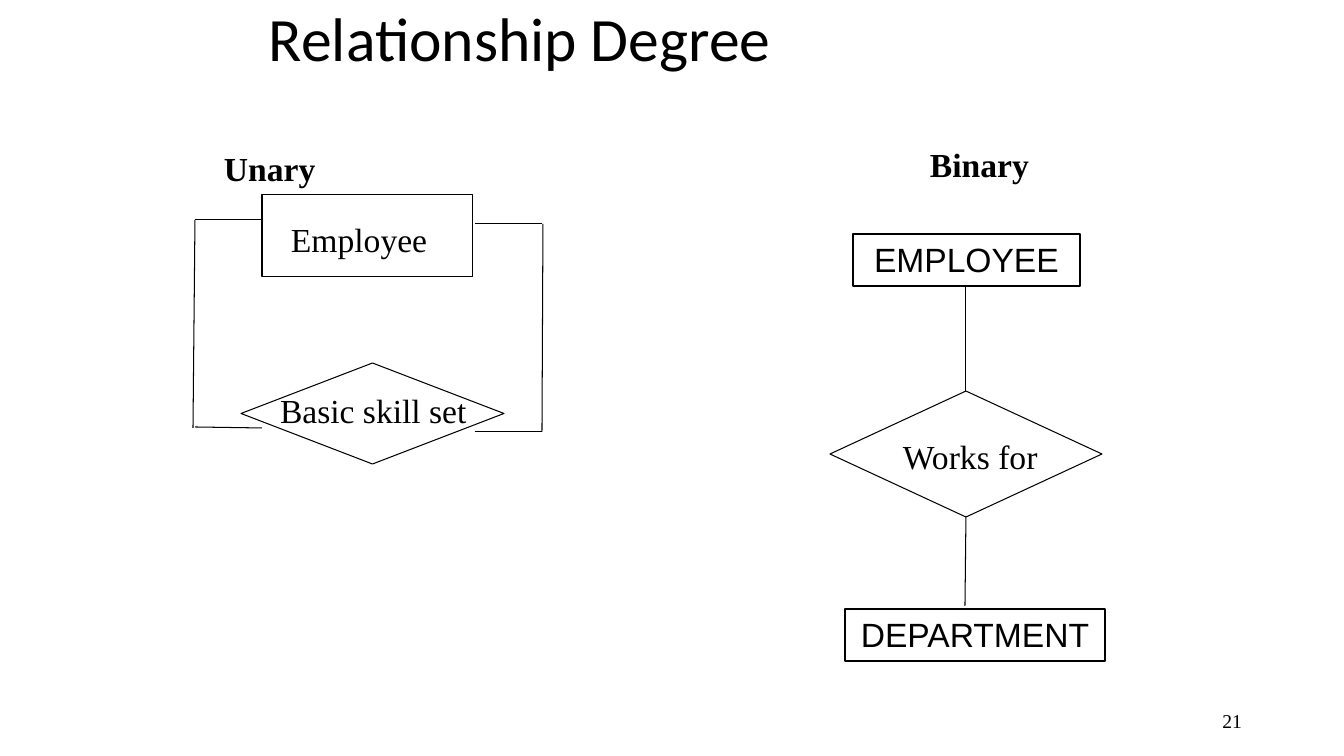
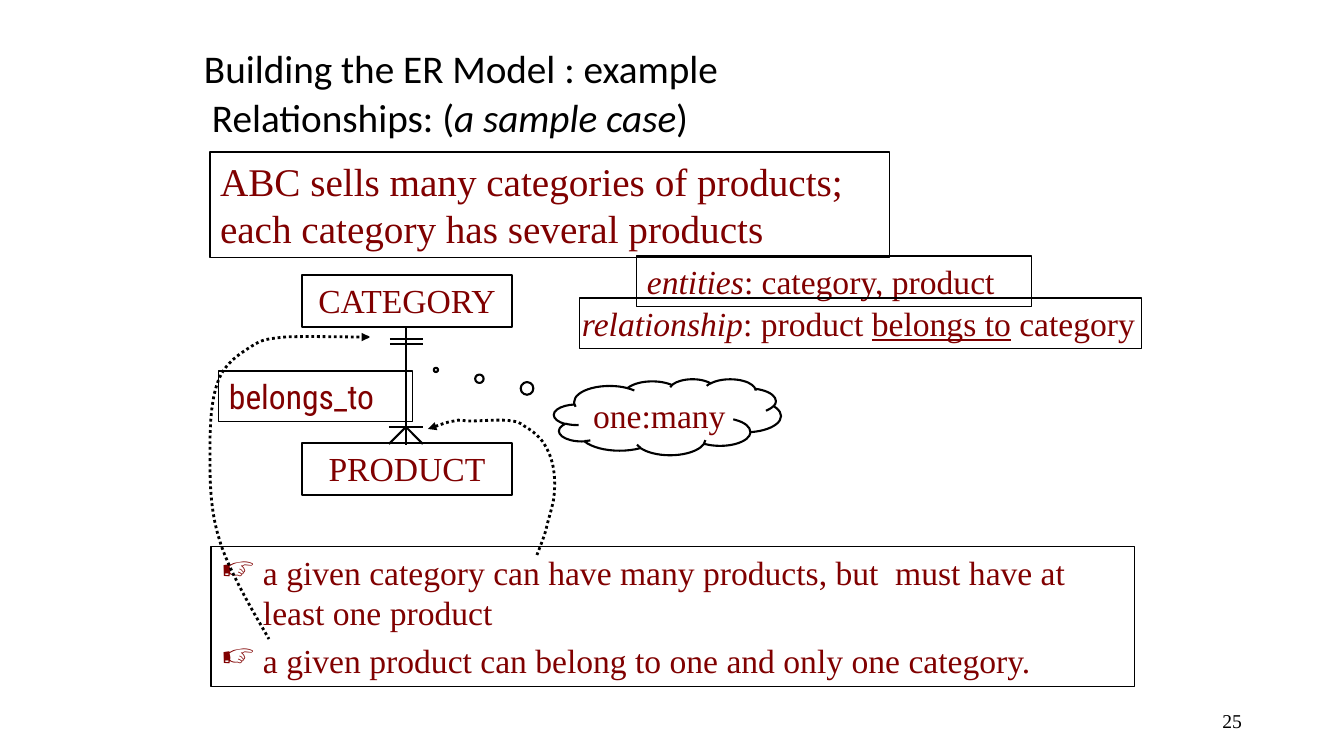
from dataclasses import dataclass
from lxml import etree
from pptx import Presentation
from pptx import util as u
from pptx.dml.color import RGBColor
from pptx.enum import dml, shapes, text
from pptx.oxml import ns

PX = 914400 / 100.8


@dataclass(frozen=True)
class Theme:
    ink: str = "000000"
    accent: str = "800000"
    heading: str = "Calibri"
    serif: str = "Times New Roman"
    sans: str = "Arial"
    condensed: str = "Roboto Condensed"
    title: int = 44
    subtitle: int = 28
    body: int = 24
    footer: int = 14
    thin: float = 0.75
    bold_line: float = 1.5
    dotted: float = 2


theme = Theme()
RECT = shapes.MSO_SHAPE.RECTANGLE
DIAMOND = shapes.MSO_SHAPE.DIAMOND
LEFT, CENTER, RIGHT = text.PP_ALIGN.LEFT, text.PP_ALIGN.CENTER, text.PP_ALIGN.RIGHT
TOP, MIDDLE = text.MSO_ANCHOR.TOP, text.MSO_ANCHOR.MIDDLE


def block(slide, box, paragraphs=(), outline=None, weight=theme.thin, font=theme.serif,
          size=theme.body, color=theme.ink, bold=False, align=LEFT, anchor=TOP,
          wrap=True, fit=True, leading=None, inset=10):
    place = [u.Emu(round(n * PX)) for n in box]
    if outline is None:
        part = slide.shapes.add_textbox(*place)
    else:
        part = slide.shapes.add_shape(outline, *place)
        part.shadow.inherit = False
        part.fill.background()
        part.line.color.rgb = RGBColor.from_string(theme.ink)
        part.line.width = u.Pt(weight)
    frame = part.text_frame
    frame.word_wrap = wrap
    frame.vertical_anchor = anchor
    frame.margin_left = frame.margin_right = round(inset * PX)
    if paragraphs and fit:
        frame.auto_size = text.MSO_AUTO_SIZE.SHAPE_TO_FIT_TEXT
    for index, pieces in enumerate(paragraphs):
        line = frame.add_paragraph() if index else frame.paragraphs[0]
        line.alignment = align
        if leading:
            line.line_spacing = leading
        for words, emphasis in pieces:
            run = line.add_run()
            run.text = words
            if emphasis:
                setattr(run.font, emphasis, True)
        for face in (line.font, *(run.font for run in line.runs)):
            face.name = font
            face.size = u.Pt(size)
            face.color.rgb = RGBColor.from_string(color)
            if bold:
                face.bold = True
    return part


def wires(slide, segments, weight):
    for segment in segments:
        wire = slide.shapes.add_connector(
            shapes.MSO_CONNECTOR.STRAIGHT, *[round(n * PX) for n in segment])
        wire.line.color.rgb = RGBColor.from_string(theme.ink)
        wire.line.width = u.Pt(weight)
        etree.SubElement(wire._element.spPr, ns.qn("a:effectLst"))


deck = Presentation()
deck.slide_width = round(1344 * PX)
deck.slide_height = round(756 * PX)
degree, example = [deck.slides.add_slide(deck.slide_layouts[6]) for _ in range(2)]

for slide, number in ((degree, "21"), (example, "25")):
    block(slide, (950, 701, 302, 40), [[(number, None)]], size=theme.footer,
          align=RIGHT, anchor=MIDDLE, fit=False)

for slide, box, pieces, size, anchor in (
    (degree, (259, -21, 857, 126), [("Relationship Degree", None)], theme.title, MIDDLE),
    (example, (194, 8, 940, 126), [("Building the ER Model : example", None)],
     theme.subtitle, MIDDLE),
    (example, (202, 94, 597, 58),
     [("Relationships: (", None), ("a sample case", "italic"), (")", None)],
     theme.subtitle, TOP),
):
    block(slide, box, [pieces], font=theme.heading, size=size, anchor=anchor,
          leading=0.9, fit=False)

for outline, box in (
    (RECT, (262, 195, 211, 82)),
    (DIAMOND, (241, 363, 263, 101)),
    (DIAMOND, (830, 391, 272, 126)),
):
    block(degree, box, outline=outline)

for words, box, bold, wrap in (
    ("Unary", (214, 143, 113, 50), True, False),
    ("Employee", (281, 214, 157, 51), False, False),
    ("Basic skill set", (270, 385, 223, 51), False, True),
    ("Binary", (920, 139, 120, 51), True, False),
    ("Works for", (893, 431, 156, 50), False, False),
):
    block(degree, box, [[(words, None)]], bold=bold, wrap=wrap)

for slide, words, box, font, color in (
    (degree, "EMPLOYEE", (853, 234, 227, 52), theme.sans, theme.ink),
    (degree, "DEPARTMENT", (845, 609, 260, 52), theme.sans, theme.ink),
    (example, "CATEGORY", (302, 275, 210, 52), theme.serif, theme.accent),
    (example, "PRODUCT", (302, 443, 210, 52), theme.serif, theme.accent),
):
    block(slide, box, [[(words, None)]], outline=RECT, weight=theme.bold_line,
          font=font, color=color, align=CENTER)

wires(degree, (
    (262, 220, 195, 220), (195, 220, 193, 428), (195, 427, 262, 428),
    (475, 432, 542, 432), (542, 432, 543, 224), (542, 224, 475, 224),
    (966, 286, 966, 391), (966, 516, 965, 606),
), theme.thin)

wires(example, (
    (406, 328, 406, 445), (389, 427, 423, 427),
    (406, 427, 389, 444), (406, 427, 423, 444),
    (390, 339, 423, 339), (390, 344, 423, 344),
), theme.bold_line)

for pieces, box, font, size, inset in (
    ([("ABC sells many categories of products; each category has several products", None)],
     (210, 152, 680, 106), theme.serif, theme.subtitle, 10),
    ([("entities", "italic"), (": category, product", None)],
     (637, 256, 395, 51), theme.serif, theme.body, 10),
    ([("relationship", "italic"), (": product ", None), ("belongs to", "underline"),
      (" category", None)], (580, 298, 562, 51), theme.serif, theme.body, 2),
    ([("belongs_to", None)], (219, 371, 194, 51), theme.condensed, theme.body, 10),
):
    block(example, box, [pieces], outline=RECT, font=font, size=size,
          color=theme.accent, inset=inset)

rules = block(example, (211, 547, 924, 140), [
    [("a given category can have many products, but  must have at least one product", None)],
    [("a given product can belong to one and only one category.", None)],
], outline=RECT, color=theme.accent)
rules.text_frame.paragraphs[1].space_before = u.Pt(5)
for rule in rules.text_frame.paragraphs:
    layout = rule._p.get_or_add_pPr()
    layout.set("marL", str(round(42 * PX)))
    layout.set("indent", str(-round(42 * PX)))
    hand = etree.Element(ns.qn("a:buChar"), char="☞")
    layout.find(ns.qn("a:defRPr")).addprevious(hand)

for start, *bends in (
    ((370, 337), (372, 337), (375, 337), (361, 337), (347, 337), (303, 336), (285, 337),
     (267, 339), (263, 339), (252, 346), (241, 353), (226, 362), (219, 379),
     (212, 396), (210, 419), (210, 447), (210, 472), (209, 506), (219, 538),
     (228, 571), (260, 623), (269, 639)),
    ((428, 429), (437, 426), (447, 422), (454, 421), (461, 419), (461, 421), (471, 421),
     (480, 421), (503, 419), (512, 421), (522, 422), (523, 426), (529, 429),
     (535, 433), (542, 439), (546, 447), (550, 454), (553, 463), (554, 472),
     (555, 480), (555, 487), (554, 497), (553, 506), (548, 520), (546, 530),
     (543, 540), (540, 547), (537, 555)),
):
    outline = example.shapes.build_freeform(*start, scale=PX)
    outline.add_line_segments(bends, close=False)
    pointer = outline.convert_to_shape()
    pointer.shadow.inherit = False
    pointer.fill.background()
    pointer.line.color.rgb = RGBColor.from_string(theme.ink)
    pointer.line.width = u.Pt(theme.dotted)
    pointer.line.dash_style = dml.MSO_LINE.ROUND_DOT
    etree.SubElement(pointer.line._get_or_add_ln(), ns.qn("a:headEnd"), type="triangle")
    steps = list(pointer._element.iter(ns.qn("a:lnTo")))
    for first in range(0, len(steps), 3):
        curve = etree.Element(ns.qn("a:cubicBezTo"))
        steps[first].addprevious(curve)
        for step in steps[first:first + 3]:
            curve.append(step[0])
            step.getparent().remove(step)

cardinality = block(example, (554, 379, 227, 76), [[("one:many", None)]],
                    outline=shapes.MSO_SHAPE.CLOUD_CALLOUT, weight=theme.bold_line,
                    color=theme.accent, align=CENTER, anchor=MIDDLE, wrap=False, fit=False)
cardinality.adjustments[0] = -1.02
cardinality.adjustments[1] = -0.62

deck.save("out.pptx")
